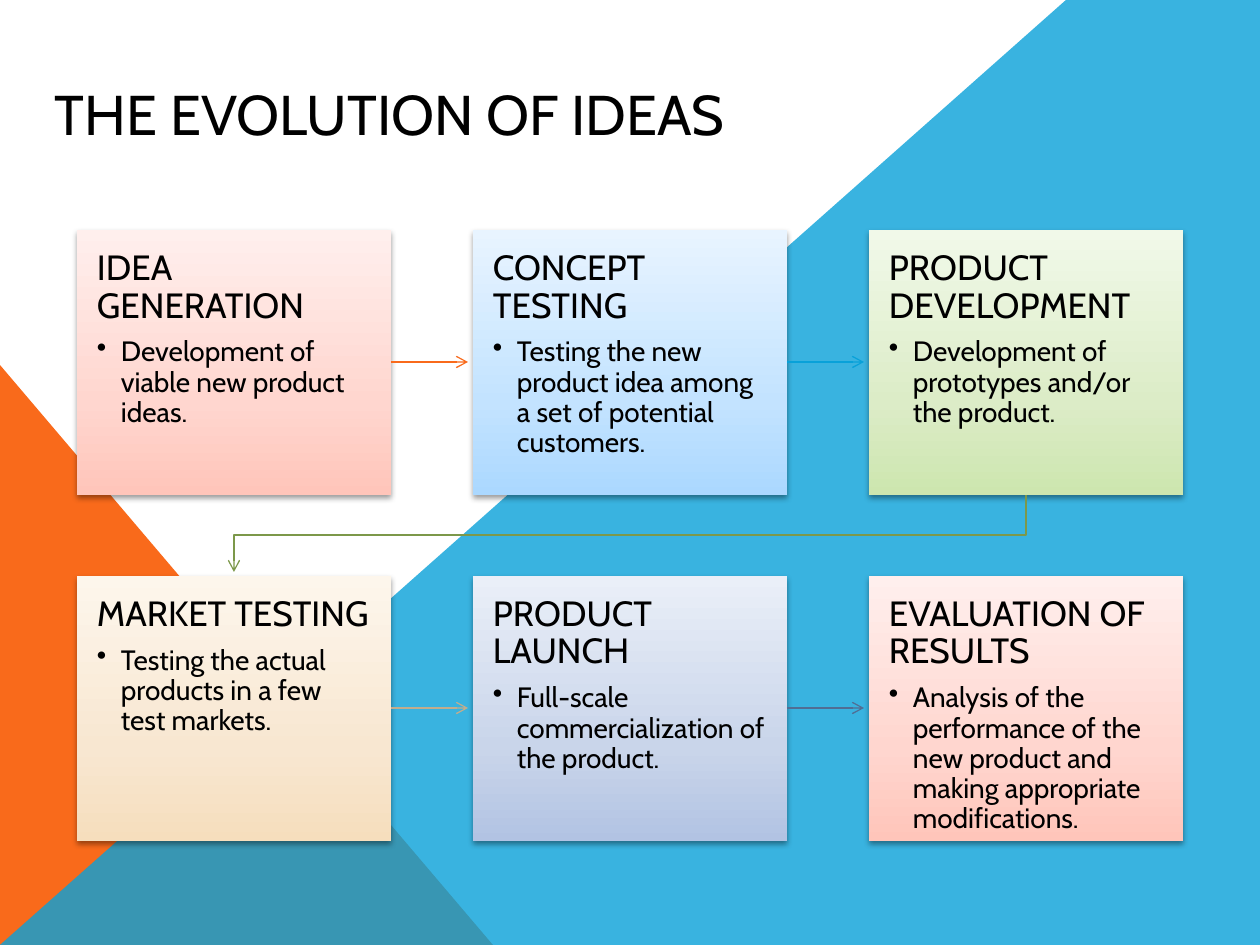
from copy import deepcopy

from lxml import etree
from pptx import Presentation
from pptx.dml.color import RGBColor
from pptx.enum.shapes import MSO_CONNECTOR, MSO_SHAPE
from pptx.enum.text import MSO_ANCHOR, PP_ALIGN
from pptx.oxml.ns import qn
from pptx.util import Pt

RECT, TRIANGLE = MSO_SHAPE.RECTANGLE, MSO_SHAPE.RIGHT_TRIANGLE
STRAIGHT = MSO_CONNECTOR.STRAIGHT
TOP, BOTTOM, LEFT = MSO_ANCHOR.TOP, MSO_ANCHOR.BOTTOM, PP_ALIGN.LEFT

SCALE = 914400 / 126
FONT = "Cabin"
BLACK = RGBColor(0x00, 0x00, 0x00)
ORANGE = RGBColor(0xF9, 0x6A, 0x1B)
BLUE = RGBColor(0x08, 0xA1, 0xD9)
GREEN = RGBColor(0x7C, 0x98, 0x4A)
TAN = RGBColor(0xC2, 0xAD, 0x8D)
SLATE = RGBColor(0x50, 0x6E, 0x94)

PINK_FADE = RGBColor(0xFF, 0xC5, 0xBA), RGBColor(0xFF, 0xD6, 0xCF), RGBColor(0xFF, 0xEF, 0xED)
BLUE_FADE = RGBColor(0xAB, 0xD8, 0xFF), RGBColor(0xC3, 0xE3, 0xFF), RGBColor(0xE8, 0xF4, 0xFF)
GREEN_FADE = RGBColor(0xCD, 0xE6, 0xAF), RGBColor(0xDC, 0xEC, 0xC7), RGBColor(0xF1, 0xF9, 0xE9)
TAN_FADE = RGBColor(0xF6, 0xDE, 0xBD), RGBColor(0xF8, 0xE7, 0xD1), RGBColor(0xFD, 0xF6, 0xEC)
SLATE_FADE = RGBColor(0xB2, 0xC3, 0xE3), RGBColor(0xC9, 0xD5, 0xEA), RGBColor(0xEA, 0xEF, 0xF8)
STOPS = 0, 0.35, 1

CARD_W, CARD_H = 314, 265
CARD_X, CARD_Y = 77, 230
STEP_X, STEP_Y = 396, 346
ARROW_W = 77

CARDS = [
    ("IDEA GENERATION", "Development of viable new product ideas.", PINK_FADE, ORANGE),
    ("CONCEPT TESTING", "Testing the new product idea among a set of potential customers.", BLUE_FADE, BLUE),
    ("PRODUCT DEVELOPMENT", "Development of prototypes and/or the product.", GREEN_FADE, GREEN),
    ("MARKET TESTING", "Testing the actual products in a few test markets.", TAN_FADE, TAN),
    ("PRODUCT LAUNCH", "Full-scale commercialization of the product.", SLATE_FADE, SLATE),
    ("EVALUATION OF RESULTS", "Analysis of the performance of the new product and making appropriate modifications.",
     PINK_FADE, None),
]


def px(*values):
    return [round(v * SCALE) for v in values]


def freeform(points, close):
    fb = s.shapes.build_freeform(*points[0], scale=SCALE)
    fb.add_line_segments(points[1:], close=close)
    sp = fb.convert_to_shape()
    sp.shadow.inherit = False
    return sp


prs = Presentation()
prs.slide_width, prs.slide_height = px(1260, 945)
s = prs.slides.add_slide(prs.slide_layouts[6])

sp = s.shapes.add_shape(TRIANGLE, *px(0, 365, 493, 580))
sp.shadow.inherit = False
sp.fill.solid()
sp.fill.fore_color.rgb = ORANGE
sp.line.fill.background()

sp = freeform([(0, 945), (1066, 0), (1260, 0), (1260, 945)], True)
sp.fill.solid()
sp.fill.fore_color.rgb = BLUE
sp.line.fill.background()
clr = sp._element.spPr.find(qn("a:solidFill"))[0]
etree.SubElement(clr, qn("a:alpha"), val="80000")

tf = s.shapes.add_textbox(*px(42, 32, 779, 116)).text_frame
tf.word_wrap = True
tf.vertical_anchor = BOTTOM
tf.margin_left, tf.margin_top, tf.margin_right, tf.margin_bottom = px(13, 6, 13, 1)
tf.text = "THE EVOLUTION OF IDEAS"
font = tf.paragraphs[0].runs[0].font
font.name, font.size, font.color.rgb = FONT, Pt(32), BLACK

for i, (title, detail, fade, color) in enumerate(CARDS):
    row, col = divmod(i, 3)
    x, y = CARD_X + col * STEP_X, CARD_Y + row * STEP_Y

    sp = s.shapes.add_shape(RECT, *px(x, y, CARD_W, CARD_H))
    sp.line.fill.background()
    sp.fill.gradient()
    sp.fill.gradient_angle = 90
    gs_list = sp._element.spPr.find(qn("a:gradFill")).find(qn("a:gsLst"))
    gs_list.append(deepcopy(gs_list[-1]))
    for stop, position, rgb in zip(sp.fill.gradient_stops, STOPS, fade):
        stop.position = position
        stop.color.rgb = rgb

    sp.shadow.inherit = False
    effects = sp._element.spPr.find(qn("a:effectLst"))
    shadow = etree.SubElement(effects, qn("a:outerShdw"), blurRad="40000", dist="20000",
                              dir="5400000", rotWithShape="0")
    clr = etree.SubElement(shadow, qn("a:srgbClr"), val="000000")
    etree.SubElement(clr, qn("a:alpha"), val="38000")

    tf = sp.text_frame
    tf.word_wrap = True
    tf.vertical_anchor = TOP
    tf.margin_left, tf.margin_top, tf.margin_right, tf.margin_bottom = px(20, 20, 20, 20)
    tf.text = title + "\n" + detail
    for p, size, after in zip(tf.paragraphs, (20, 16), (7, 2)):
        p.alignment = LEFT
        p.line_spacing = 0.9
        p.space_after = Pt(after)
        font = p.runs[0].font
        font.name, font.size, font.color.rgb = FONT, Pt(size), BLACK
    pPr = p._p.get_or_add_pPr()
    indent, = px(24)
    pPr.set("marL", str(indent))
    pPr.set("indent", str(-indent))
    etree.SubElement(pPr, qn("a:buChar"), char="•")

    if color is None:
        continue
    if col < 2:
        start, mid = x + CARD_W, y + CARD_H // 2
        arrow = s.shapes.add_connector(STRAIGHT, *px(start, mid, start + ARROW_W, mid))
        etree.SubElement(arrow._element.spPr, qn("a:effectLst"))
    else:
        right, left = x + CARD_W // 2, CARD_X + CARD_W // 2
        bottom = y + CARD_H
        arrow = freeform([(right, bottom), (right, bottom + 40), (left, bottom + 40), (left, bottom + 77)], False)
        arrow.fill.background()
    arrow.line.color.rgb = color
    arrow.line.width = Pt(0.75)
    etree.SubElement(arrow._element.spPr.find(qn("a:ln")), qn("a:tailEnd"), type="arrow")

prs.save("out.pptx")
